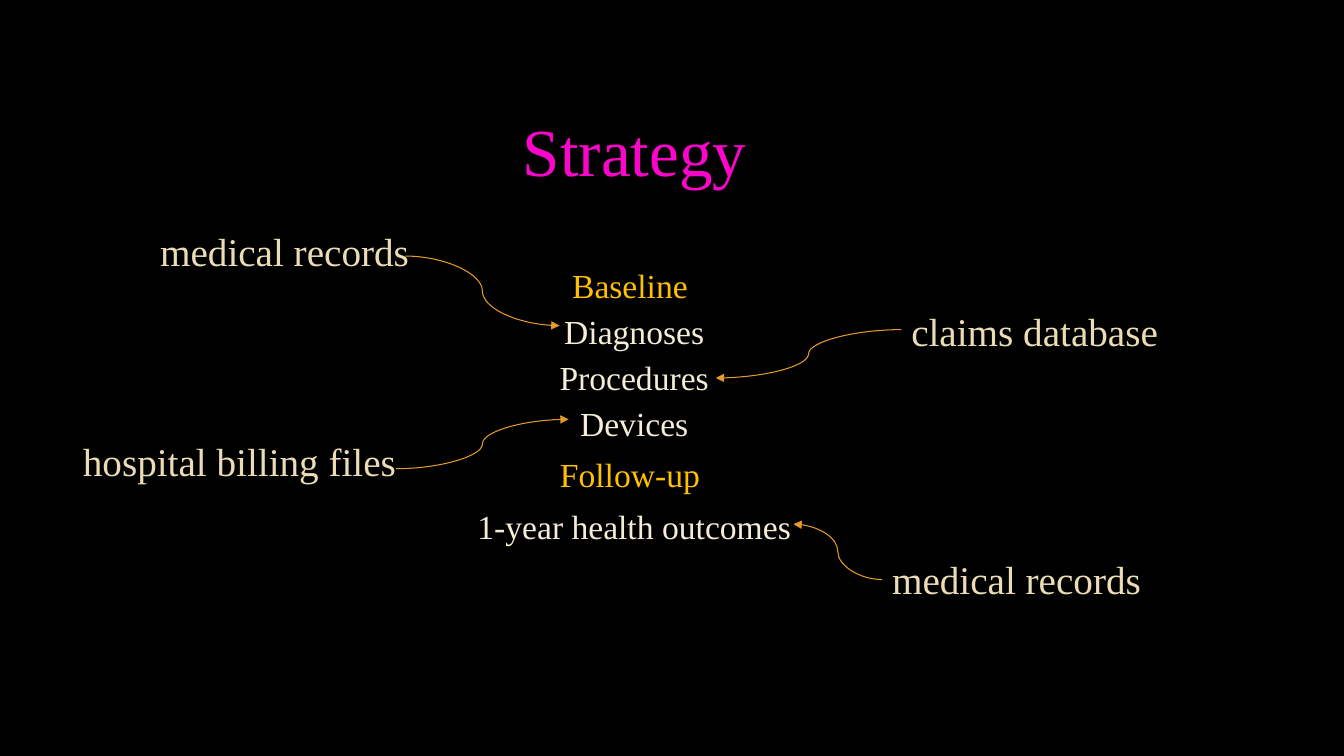
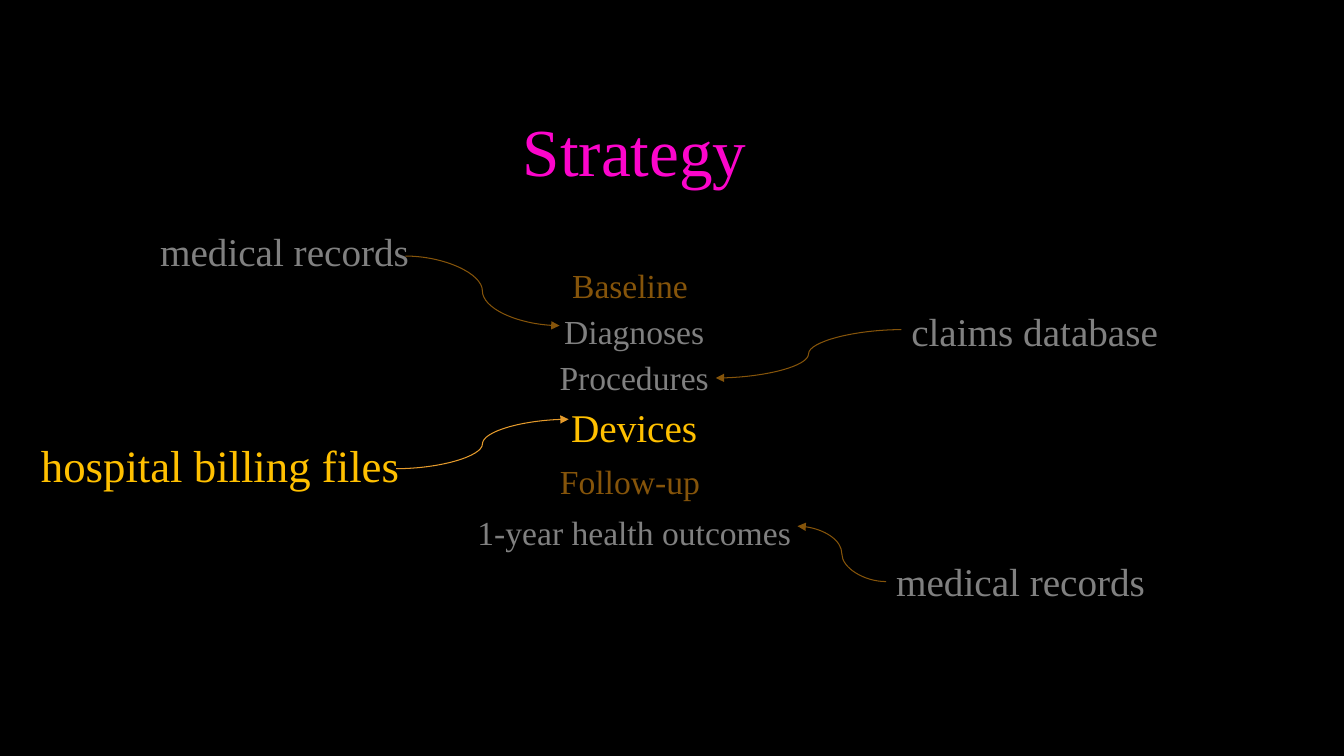
from lxml import etree
from pptx import Presentation
from pptx import util as u
from pptx.dml import color
from pptx.enum import shapes, text
from pptx.oxml import ns

BLACK, PINK, GOLD, ORANGE = "000000", "FC05CB", "FFC000", "E59B2C"
SAND, CREAM, GRAY, BROWN = "EADCB4", "F4EDD8", "808080", "85540A"
ITEM = {"space_before": u.Pt(4)}
HEADING = {"space_before": u.Pt(5), "line_spacing": 1.1}


def rgb(value):
    return color.RGBColor.from_string(value)


def assign(target, values):
    for name, value in values.items():
        setattr(target, name, value)


class Board:
    """Holds the deck style and the current slide."""

    font = "Times New Roman"
    center = {"alignment": text.PP_ALIGN.CENTER}

    def __init__(self):
        self.deck = Presentation()
        assign(self.deck, {"slide_width": u.Inches(13.33), "slide_height": u.Inches(7.5)})

    def page(self):
        self.slide = self.deck.slides.add_slide(self.deck.slide_layouts[6])
        fill = self.slide.background.fill
        fill.solid()
        fill.fore_color.rgb = rgb(BLACK)
        self.block((1.17, 0.83, 10.25, 1.42),
                   [("Strategy", 48, PINK, {**self.center, "line_spacing": 0.9})],
                   {"vertical_anchor": text.MSO_ANCHOR.MIDDLE})

    def block(self, place, lines, frame_format):
        box = self.slide.shapes.add_textbox(*map(u.Inches, place))
        frame = box.text_frame
        assign(frame, {"word_wrap": True, **frame_format})
        for index, (words, size, ink, para_format) in enumerate(lines):
            para = frame.add_paragraph() if index else frame.paragraphs[0]
            assign(para, para_format)
            if not index:
                para.space_before = u.Pt(0)
            span = para.add_run()
            span.text = words
            assign(span.font, {"name": self.font, "size": u.Pt(size)})
            span.font.color.rgb = rgb(ink)

    def label(self, words, place, ink, size=28, para_format=None):
        self.block(place, [(words, size, ink, para_format or {})],
                   {"auto_size": text.MSO_AUTO_SIZE.SHAPE_TO_FIT_TEXT})

    def outline(self, rows):
        lines = [(words, size, ink, {**self.center, **spacing})
                 for words, size, ink, spacing in rows]
        self.block((4.02, 2.47, 4.54, 3.01), lines, {"margin_top": u.Inches(0.12)})

    def arrow(self, start, end, ink):
        line = self.slide.shapes.add_connector(
            shapes.MSO_CONNECTOR.CURVE, *map(u.Inches, start + end))
        line.line.width = u.Pt(0.75)
        line.line.color.rgb = rgb(ink)
        etree.SubElement(line.line._get_or_add_ln(), ns.qn("a:tailEnd"), type="triangle")
        etree.SubElement(line._element.spPr, ns.qn("a:effectLst"))


def strategy(board, source, heading, item, curve, device, billing, follow_up):
    device_ink, device_size = device
    billing_ink, billing_size, billing_left = billing
    left, top = follow_up
    board.page()
    board.label("medical records", (1.49, 2.21, 3, 0.57), source)
    board.label("claims database", (8.94, 3, 3, 0.98), source)
    board.label("hospital billing files", (billing_left, 4.29, 3.91, 0.57),
                billing_ink, billing_size, board.center)
    board.outline([
        ("Baseline ", 24, heading, HEADING),
        ("Diagnoses", 24, item, ITEM),
        ("Procedures", 24, item, ITEM),
        ("Devices", device_size, device_ink, ITEM),
        ("Follow-up ", 24, heading, HEADING),
        ("1-year health outcomes", 24, item, HEADING),
    ])
    board.label("medical records", (left, top, 3, 0.57), source)
    board.arrow((4.02, 2.54), (5.55, 3.23), curve)
    board.arrow((3.93, 4.65), (5.64, 4.16), ORANGE)
    board.arrow((8.94, 3.27), (7.1, 3.75), curve)
    board.arrow((left, top + 0.29), (left - 0.88, top - 0.26), curve)


def main():
    board = Board()
    strategy(board, source=SAND, heading=GOLD, item=CREAM, curve=ORANGE,
             device=(CREAM, 24), billing=(SAND, 28, 0.42), follow_up=(8.75, 5.46))
    strategy(board, source=GRAY, heading=BROWN, item=GRAY, curve=BROWN,
             device=(GOLD, 28), billing=(GOLD, 32, 0.23), follow_up=(8.79, 5.48))
    board.deck.save("out.pptx")


if __name__ == "__main__":
    main()
